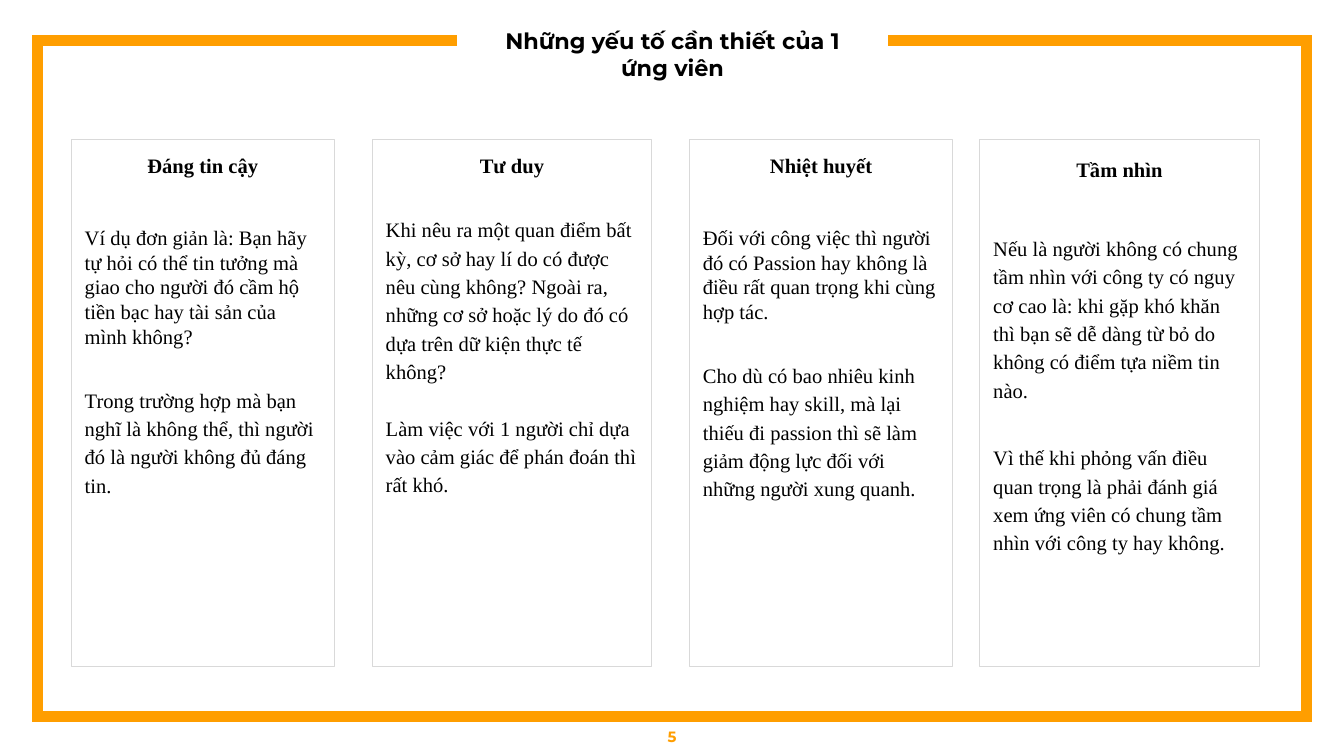
from dataclasses import dataclass

from pptx import Presentation
from pptx.dml.color import RGBColor
from pptx.enum.text import MSO_ANCHOR, MSO_AUTO_SIZE, PP_ALIGN
from pptx.oxml.xmlchemy import OxmlElement
from pptx.util import Inches, Pt


@dataclass(frozen=True)
class Theme:
    accent: RGBColor = RGBColor(0xFF, 0x9E, 0x00)
    border: RGBColor = RGBColor(0xD9, 0xD9, 0xD9)
    ink: RGBColor = RGBColor(0, 0, 0)
    heading_font: str = "Montserrat"
    body_font: str = "Times New Roman"
    title_size: float = 12
    body_size: float = 11
    number_size: float = 8
    inset: float = 0.1
    frame_width: float = 6
    border_width: float = 0.75
    loose: float = 1.15


class SlideBuilder:
    def __init__(self, prs, theme):
        self.theme = theme
        self.s = prs.slides.add_slide(prs.slide_layouts[4])
        self.title_sp, *self.bodies = self.s.placeholders

    def place(self, sp, left, top, width, height, anchor=MSO_ANCHOR.TOP):
        sp.left, sp.top = Inches(left), Inches(top)
        sp.width, sp.height = Inches(width), Inches(height)
        tf = sp.text_frame
        tf.word_wrap = True
        tf.auto_size = MSO_AUTO_SIZE.NONE
        tf.vertical_anchor = anchor
        tf.margin_left = tf.margin_right = Inches(self.theme.inset)
        tf.margin_top = tf.margin_bottom = Inches(self.theme.inset)
        return tf

    def style(self, p, font, size, color, bold, align, before=0, spacing=1.0):
        p.alignment = align
        p.space_before, p.space_after = Pt(before), Pt(0)
        p.line_spacing = spacing
        pPr = p._p.get_or_add_pPr()
        pPr.set("marL", "0")
        pPr.set("indent", "0")
        pPr.append(OxmlElement("a:buNone"))
        for r in p.runs:
            r.font.name, r.font.size, r.font.bold = font, Pt(size), bold
            r.font.color.rgb = color

    def frame(self, points):
        start, *rest = [(Inches(x), Inches(y)) for x, y in points]
        builder = self.s.shapes.build_freeform(*start)
        builder.add_line_segments(rest, close=False)
        sp = builder.convert_to_shape()
        sp.shadow.inherit = False
        sp.fill.background()
        sp.line.color.rgb = self.theme.accent
        sp.line.width = Pt(self.theme.frame_width)
        miter = OxmlElement("a:miter")
        miter.set("lim", "800000")
        sp.line._get_or_add_ln().append(miter)

    def title(self, text, *box):
        t = self.theme
        tf = self.place(self.title_sp, *box)
        tf.text = text
        self.style(tf.paragraphs[0], t.heading_font, t.title_size, t.ink, True, PP_ALIGN.CENTER)

    def number(self, text, *box):
        t = self.theme
        tf = self.place(self.s.shapes.add_textbox(0, 0, 0, 0), *box, anchor=MSO_ANCHOR.MIDDLE)
        tf.text = text
        self.style(tf.paragraphs[0], t.heading_font, t.number_size, t.accent, True, PP_ALIGN.CENTER)

    def card(self, sp, paragraphs, gaps, spacings, *box):
        t = self.theme
        tf = self.place(sp, *box)
        sp.line.color.rgb = t.border
        sp.line.width = Pt(t.border_width)
        tf.text = "\n".join(paragraphs)
        for i, (p, gap, spacing) in enumerate(zip(tf.paragraphs, (6, *gaps), spacings)):
            align = PP_ALIGN.LEFT if i else PP_ALIGN.CENTER
            self.style(p, t.body_font, t.body_size, t.ink, i == 0, align, gap, spacing)


def main():
    prs = Presentation()
    prs.slide_width = Inches(10)
    prs.slide_height = prs.slide_width * 9 // 16
    theme = Theme()
    slide = SlideBuilder(prs, theme)
    loose = theme.loose

    slide.frame([(3.4, 0.3), (0.28, 0.3), (0.28, 5.33), (9.72, 5.33), (9.72, 0.3), (6.61, 0.3)])
    slide.title("Những yếu tố cần thiết của 1 ứng viên", 3.55, 0.1, 2.91, 0.42)

    cards = [
        (0.53, 1.96, (25.2, 19.2), (1.0, 1.0, loose), (
            "Đáng tin cậy",
            "Ví dụ đơn giản là: Bạn hãy tự hỏi có thể tin tưởng mà giao cho người đó cầm hộ "
            "tiền bạc hay tài sản của mình không?",
            "Trong trường hợp mà bạn nghĩ là không thể, thì người đó là người không đủ đáng tin.")),
        (2.77, 2.08, (19.2, 15.2), (1.0, loose, loose), (
            "Tư duy",
            "Khi nêu ra một quan điểm bất kỳ, cơ sở hay lí do có được nêu cùng không? Ngoài ra, "
            "những cơ sở hoặc lý do đó có dựa trên dữ kiện thực tế không?",
            "Làm việc với 1 người chỉ dựa vào cảm giác để phán đoán thì rất khó.")),
        (5.13, 1.96, (25.2, 19.2), (1.0, 1.0, loose), (
            "Nhiệt huyết",
            "Đối với công việc thì người đó có Passion hay không là điều rất quan trọng khi "
            "cùng hợp tác.",
            "Cho dù có bao nhiêu kinh nghiệm hay skill, mà lại thiếu đi passion thì sẽ làm giảm "
            "động lực đối với những người xung quanh.")),
        (7.29, 2.08, (27.2, 21.2), (loose, loose, loose), (
            "Tầm nhìn",
            "Nếu là người không có chung tầm nhìn với công ty có nguy cơ cao là: khi gặp khó khăn "
            "thì bạn sẽ dễ dàng từ bỏ do không có điểm tựa niềm tin nào.",
            "Vì thế khi phỏng vấn điều quan trọng là phải đánh giá xem ứng viên có chung tầm nhìn "
            "với công ty hay không.")),
    ]
    for sp, (left, width, gaps, spacings, paragraphs) in zip(slide.bodies, cards):
        slide.card(sp, paragraphs, gaps, spacings, left, 1.04, width, 3.92)

    slide.number("5", 0, 5.33, 10, 0.3)
    prs.save("out.pptx")


if __name__ == "__main__":
    main()
